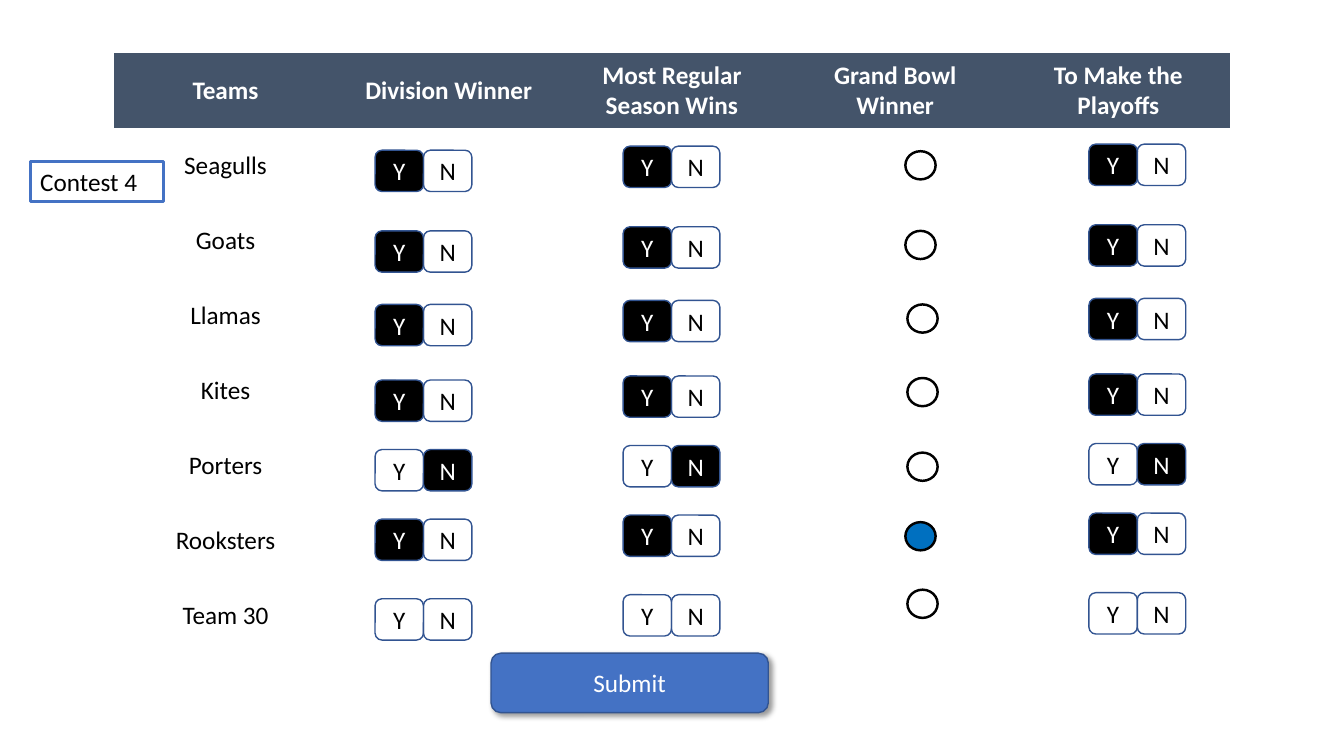
from lxml import etree
from pptx import Presentation
from pptx.dml.color import RGBColor
from pptx.enum import shapes, text
from pptx.oxml.ns import qn
from pptx.util import Inches, Pt

HEADS = ["Teams", "Division Winner", "Most Regular Season Wins",
         "Grand Bowl Winner", "To Make the Playoffs"]
# team, pick, top of buttons, left and top of circle
TEAMS = [
    ("Seagulls", "Y", 1.49, 8.98, 1.5),
    ("Goats", "Y", 2.29, 8.98, 2.29),
    ("Llamas", "Y", 3.02, 9, 3.02),
    ("Kites", "Y", 3.77, 9, 3.75),
    ("Porters", "N", 4.46, 9, 4.49),
    ("Rooksters", "Y", 5.15, 8.98, 5.18),
    ("Team 30", "", 5.94, 9, 5.85),
]
CHAMP = "Rooksters"
PAIRS = [(3.72, 0), (6.18, -0.04), (10.8, -0.06)]
STEP = 0.48
PLAIN = "{2D5ABB26-0587-4C30-8999-92F81FD0307C}"

SLATE = RGBColor(0x44, 0x54, 0x6A)
BLACK = RGBColor(0, 0, 0)
WHITE = RGBColor(255, 255, 255)
BLUE = RGBColor(0x44, 0x72, 0xC4)
NAVY = RGBColor(0x32, 0x54, 0x91)
CHOSEN = RGBColor(0x00, 0x70, 0xC0)


def paint(item, color):
    """Fill an item, or leave it clear when no color is given."""
    if color is None:
        item.fill.background()
    else:
        item.fill.solid()
        item.fill.fore_color.rgb = color


def write(frame, words, color, align=text.PP_ALIGN.CENTER, bold=False):
    """Put one styled paragraph in a text frame."""
    frame.text = words
    para = frame.paragraphs[0]
    para.alignment = align
    font = para.runs[0].font
    font.name, font.size, font.bold = "Calibri", Pt(18), bold
    font.color.rgb = color


def draw(slide, kind, box, fill, line, width):
    """Add a flat shape with the given fill and outline."""
    shape = slide.shapes.add_shape(kind, *map(Inches, box))
    shape.shadow.inherit = False
    paint(shape, fill)
    shape.line.color.rgb = line
    shape.line.width = Pt(width)
    return shape


def button(slide, box, words, fill, color):
    """Add a rounded button with a centred label."""
    shape = draw(slide, shapes.MSO_SHAPE.ROUNDED_RECTANGLE, box, fill, NAVY, 1)
    shape.text_frame.vertical_anchor = text.MSO_ANCHOR.MIDDLE
    write(shape.text_frame, words, color)
    return shape


def lift(shape):
    """Give a shape a soft shadow at the lower right."""
    effects = shape._element.spPr.find(qn("a:effectLst"))
    outer = etree.SubElement(effects, qn("a:outerShdw"), blurRad=str(Pt(4)),
                             dist=str(Pt(3)), dir="2700000", algn="tl", rotWithShape="0")
    tint = etree.SubElement(outer, qn("a:srgbClr"), val="000000")
    etree.SubElement(tint, qn("a:alpha"), val="40000")


def grid(slide):
    """Add the table of teams and contest headings."""
    rows = [HEADS] + [[team[0]] + [""] * 4 for team in TEAMS]
    frame = slide.shapes.add_table(len(rows), len(HEADS), Inches(1.13), Inches(0.53),
                                   Inches(11.07), Inches(5.95))
    next(frame._element.iter(qn("a:tableStyleId"))).text = PLAIN
    for r, row in enumerate(rows):
        for c, words in enumerate(row):
            cell = frame.table.cell(r, c)
            cell.vertical_anchor = text.MSO_ANCHOR.MIDDLE
            paint(cell, None if r else SLATE)
            if words:
                write(cell.text_frame, words, BLACK if r else WHITE, bold=r == 0)


def main():
    """Build the contest slide and save it."""
    deck = Presentation()
    deck.slide_width, deck.slide_height = Inches(13.33), Inches(7.5)
    slide = deck.slides.add_slide(deck.slide_layouts[6])
    grid(slide)
    for name, pick, top, left, high in TEAMS:
        for start, shift in PAIRS:
            for i, mark in enumerate("YN"):
                chosen = mark == pick
                button(slide, (start + i * STEP, top + shift, STEP, 0.41), mark,
                       BLACK if chosen else None, WHITE if chosen else BLACK)
        draw(slide, shapes.MSO_SHAPE.OVAL, (left, high, 0.3, 0.28),
             CHOSEN if name == CHAMP else None, BLACK, 1.75)
    lift(button(slide, (4.87, 6.48, 2.75, 0.59), "Submit", BLUE, WHITE))
    tag = draw(slide, shapes.MSO_SHAPE.RECTANGLE, (0.3, 1.6, 1.32, 0.4), None, BLUE, 2.25)
    tag.text_frame.vertical_anchor = text.MSO_ANCHOR.TOP
    write(tag.text_frame, "Contest 4", BLACK, text.PP_ALIGN.LEFT)
    deck.save("out.pptx")


if __name__ == "__main__":
    main()
